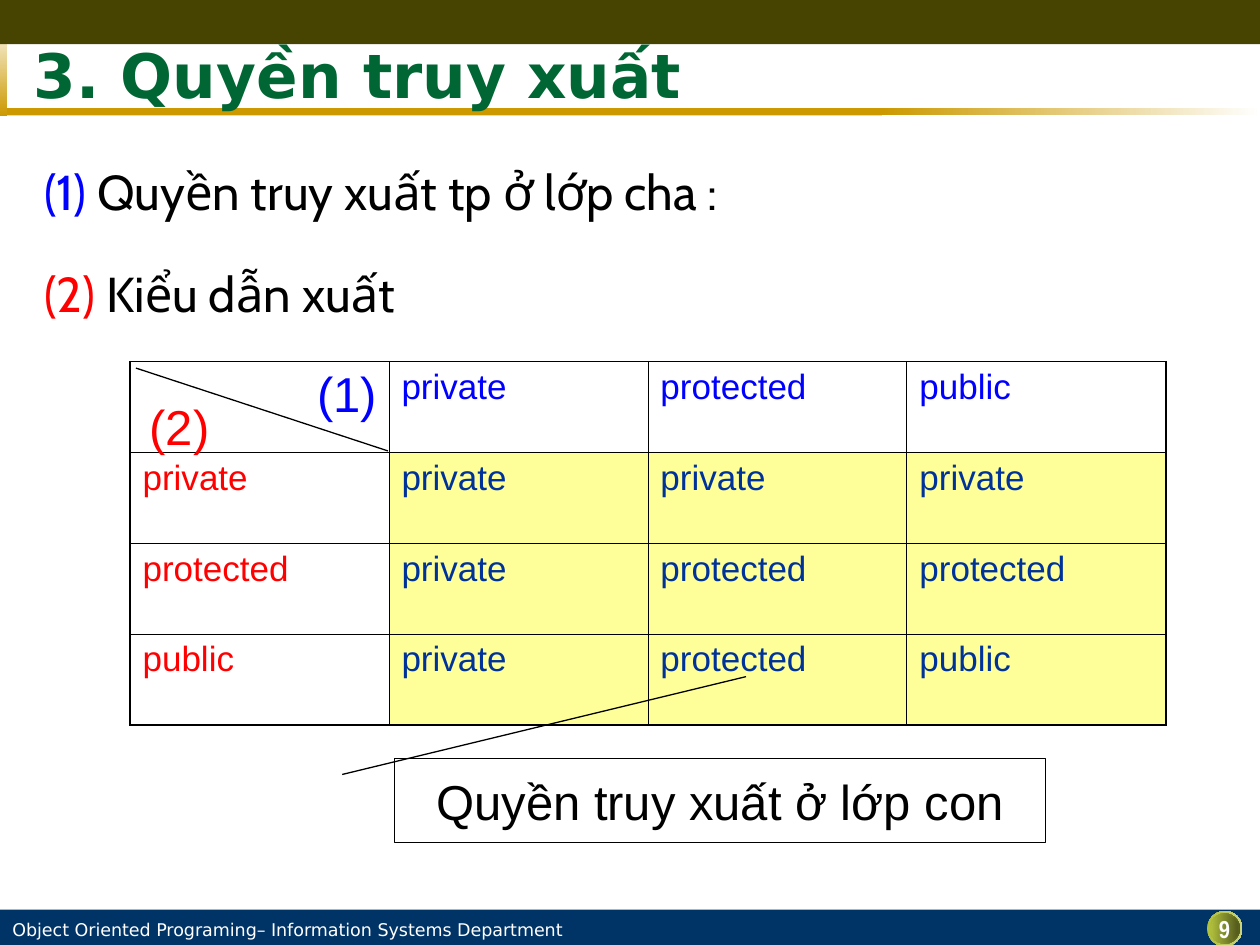
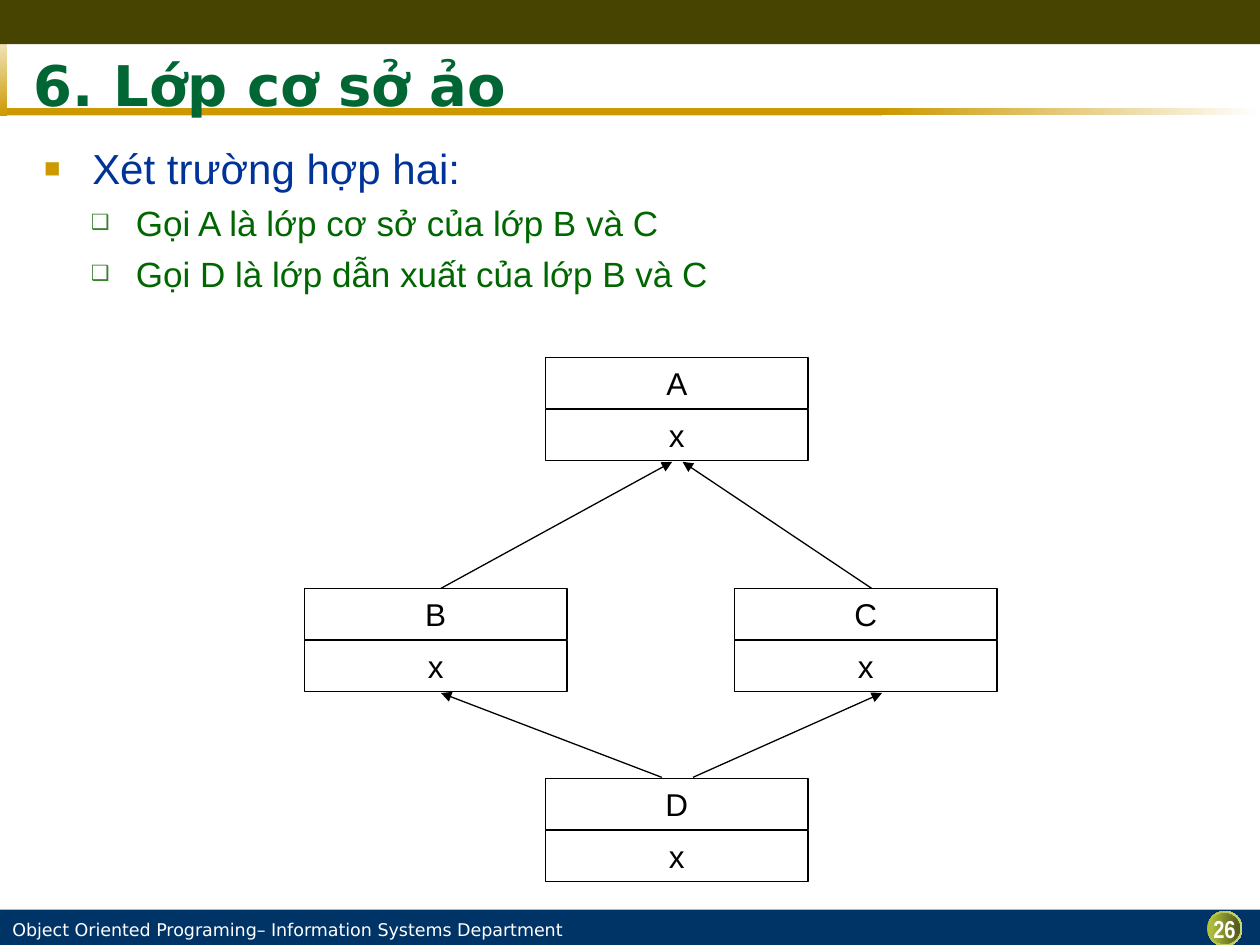
from dataclasses import dataclass
from typing import Any, Optional

from lxml import etree
from pptx import Presentation
from pptx import util as u
from pptx.dml.color import RGBColor
from pptx.enum import shapes, text
from pptx.oxml.ns import qn

BLACK, WHITE = "000000", "FFFFFF"
GOLD, OLIVE, NAVY, LIME = "CC9900", "464400", "003366", "AFBE3C"
TITLE_GREEN, DARK_GREEN, BULLET_GREEN = "006633", "006600", "3B812F"
BLUE, RED, INK_BLUE, YELLOW = "0000FF", "FF0000", "003399", "FFFF99"
FOOTER = "Object Oriented Programing– Information Systems Department"
ACCESS = ("private", "protected", "public")
SHAPE = shapes.MSO_SHAPE
CENTER, LEFT = text.PP_ALIGN.CENTER, text.PP_ALIGN.LEFT
MIDDLE, TOP = text.MSO_ANCHOR.MIDDLE, text.MSO_ANCHOR.TOP


@dataclass(frozen=True)
class Box:
    left: float
    top: float
    width: float
    height: float

    def lengths(self) -> tuple[u.Length, ...]:
        return tuple(u.Cm(value) for value in (self.left, self.top, self.width, self.height))


@dataclass(frozen=True)
class Style:
    size: float
    color: str = BLACK
    font: str = "Arial"
    bold: bool = False
    align: Any = LEFT
    before: float = 0


@dataclass(frozen=True)
class Band:
    box: Box
    color: str
    end: Optional[str] = None
    angle: int = 0
    kind: Any = SHAPE.RECTANGLE


@dataclass(frozen=True)
class Bullet:
    level: int
    char: str
    color: str
    percent: int
    margin: float
    hanging: float
    style: Style


@dataclass(frozen=True)
class ClassBox:
    name: str
    left: float
    top: float


@dataclass(frozen=True)
class Line:
    start: tuple[float, float]
    end: tuple[float, float]


def circle(diameter: float, end: str) -> Band:
    radius = diameter / 2
    return Band(Box(24.69 - radius, 18.72 - radius, diameter, diameter), LIME, end, 0, SHAPE.OVAL)


BANDS = (
    Band(Box(0, 2.18, 17.78, 0.15), GOLD),
    Band(Box(0, 0.33, 0.15, 2.01), WHITE, GOLD, 90),
    Band(Box(17.78, 2.18, 7.62, 0.15), GOLD, WHITE),
    Band(Box(0, 0, 25.4, 0.89), OLIVE),
    Band(Box(0, 18.34, 25.4, 0.71), NAVY),
    circle(0.71, WHITE),
    circle(0.71, "CAD47D"),
    circle(0.61, "5F6720"),
    circle(0.61, "555C1D"),
    circle(0.56, "51581C"),
)
FIRST_LEVEL = Bullet(0, "■", GOLD, 65, 0.97, 0.97, Style(24, INK_BLUE, before=6))
SECOND_LEVEL = Bullet(1, "❑", BULLET_GREEN, 60, 1.85, 0.91, Style(20, DARK_GREEN, before=5))
CLASS_BOXES = (
    ClassBox("A", 11, 7.21),
    ClassBox("B", 6.14, 11.86),
    ClassBox("C", 14.81, 11.86),
    ClassBox("D", 11, 15.69),
)
INHERITANCE = (
    Line((8.89, 11.86), (13.55, 9.31)),
    Line((17.57, 11.86), (13.76, 9.31)),
    Line((13.34, 15.67), (8.89, 13.97)),
    Line((13.97, 15.67), (17.78, 13.97)),
)


def rgb(color: str) -> RGBColor:
    return RGBColor.from_string(color)


def apply(target: Any, values: dict[str, Any]) -> None:
    for name, value in values.items():
        setattr(target, name, value)


def add_xml(parent: Any, tag: str, **attributes: Any) -> Any:
    return etree.SubElement(parent, qn(tag), {key: str(value) for key, value in attributes.items()})


def write_run(paragraph: Any, words: str, style: Style, color: Optional[str] = None) -> None:
    run = paragraph.add_run()
    run.text = words
    apply(run.font, {"size": u.Pt(style.size), "name": style.font, "bold": style.bold})
    run.font.color.rgb = rgb(color or style.color)


def format_paragraph(paragraph: Any, style: Style) -> None:
    apply(paragraph, {"alignment": style.align, "space_before": u.Pt(style.before), "line_spacing": 1.0})


def format_frame(frame: Any, anchor: Any = TOP, wrap: bool = True,
                 side: float = 0.25, edge: float = 0.13) -> None:
    apply(frame, {
        "auto_size": text.MSO_AUTO_SIZE.NONE, "word_wrap": wrap, "vertical_anchor": anchor,
        "margin_left": u.Cm(side), "margin_right": u.Cm(side),
        "margin_top": u.Cm(edge), "margin_bottom": u.Cm(edge),
    })


def write(frame: Any, words: str, style: Style) -> None:
    paragraph = frame.paragraphs[0]
    format_paragraph(paragraph, style)
    write_run(paragraph, words, style)


def add_text(slide: Any, box: Box, words: str, style: Style, **layout: Any) -> Any:
    frame = slide.shapes.add_textbox(*box.lengths()).text_frame
    format_frame(frame, **layout)
    write(frame, words, style)
    return frame


def add_band(slide: Any, band: Band) -> None:
    shape = slide.shapes.add_shape(band.kind, *band.box.lengths())
    shape.shadow.inherit = False
    shape.line.fill.background()
    if band.end is None:
        shape.fill.solid()
        shape.fill.fore_color.rgb = rgb(band.color)
        return
    shape.fill.gradient()
    shape.fill.gradient_angle = (360 - band.angle) % 360
    for stop, color, position in zip(shape.fill.gradient_stops, (band.color, band.end), (0, 1)):
        stop.color.rgb = rgb(color)
        stop.position = position


def add_outlined(slide: Any, kind: Any, box: Box, words: str, style: Style, anchor: Any = TOP) -> Any:
    shape = slide.shapes.add_shape(kind, *box.lengths())
    shape.shadow.inherit = False
    shape.fill.background()
    shape.line.color.rgb = rgb(BLACK)
    shape.line.width = u.Pt(0.75)
    format_frame(shape.text_frame, anchor)
    write(shape.text_frame, words, style)
    return shape


def add_line(slide: Any, line: Line, arrow: bool = False) -> None:
    points = [u.Cm(value) for value in line.start + line.end]
    connector = slide.shapes.add_connector(shapes.MSO_CONNECTOR.STRAIGHT, *points)
    connector.line.color.rgb = rgb(BLACK)
    connector.line.width = u.Pt(0.75)
    properties = connector.element.spPr
    if arrow:
        add_xml(properties.find(qn("a:ln")), "a:tailEnd", type="triangle")
    add_xml(properties, "a:effectLst")


def place(shape: Any, box: Box) -> None:
    apply(shape, dict(zip(("left", "top", "width", "height"), box.lengths())))
    shape.element.getparent().append(shape.element)


def start_slide(presentation: Any, layout: int, title: str, top: float, size: float, number: str) -> Any:
    slide = presentation.slides.add_slide(presentation.slide_layouts[layout])
    for band in BANDS:
        add_band(slide, band)
    add_text(slide, Box(0.2, 18.52, 13.08, 0.43), FOOTER,
             Style(10, WHITE, "DejaVu Sans", before=6.2), side=0.05, edge=0)
    add_text(slide, Box(24.05, 18.42, 1.27, 0.69), number,
             Style(14, WHITE, "Arial Narrow", True, CENTER, 8.8), side=0, edge=0)
    heading = slide.shapes.title
    place(heading, Box(0.43, top, 24.56, 1.7))
    format_frame(heading.text_frame, MIDDLE)
    write(heading.text_frame, title, Style(size, TITLE_GREEN, "DejaVu Sans", True))
    return slide


def add_bullet(paragraph: Any, words: str, bullet: Bullet) -> None:
    paragraph.level = bullet.level
    format_paragraph(paragraph, bullet.style)
    write_run(paragraph, words, bullet.style)
    properties = paragraph._p.get_or_add_pPr()
    properties.set("marL", str(u.Cm(bullet.margin)))
    properties.set("indent", str(-u.Cm(bullet.hanging)))
    add_xml(add_xml(properties, "a:buClr"), "a:srgbClr", val=bullet.color)
    add_xml(properties, "a:buSzPct", val=bullet.percent * 1000)
    add_xml(properties, "a:buFont", typeface="Arial")
    add_xml(properties, "a:buChar", char=bullet.char)


def add_borders(cell: Any, outer_sides: dict[str, bool]) -> None:
    properties = cell._tc.get_or_add_tcPr()
    for side, outer in outer_sides.items():
        border = add_xml(properties, f"a:ln{side}", w=u.Pt(1.08 if outer else 0.45))
        add_xml(add_xml(border, "a:solidFill"), "a:srgbClr", val=BLACK)


def result_access(derivation: str, member: str) -> str:
    return ACCESS[min(ACCESS.index(derivation), ACCESS.index(member))]


def add_access_table(slide: Any) -> None:
    rows = [("", *ACCESS)]
    rows += [(kind, *(result_access(kind, member) for member in ACCESS)) for kind in ACCESS]
    last = len(rows) - 1
    table = slide.shapes.add_table(4, 4, *Box(2.62, 7.29, 20.88, 7.32).lengths()).table
    apply(table, {"first_row": False, "horz_banding": False})
    for row, labels in enumerate(rows):
        table.rows[row].height = u.Cm(1.83)
        table.columns[row].width = u.Cm(5.22)
        for column, label in enumerate(labels):
            cell = table.cell(row, column)
            add_borders(cell, {"L": column == 0, "R": column == last, "T": row == 0, "B": row == last})
            if row and column:
                cell.fill.solid()
                cell.fill.fore_color.rgb = rgb(YELLOW)
            else:
                cell.fill.background()
            if label:
                color = BLUE if row == 0 else RED if column == 0 else INK_BLUE
                write(cell.text_frame, label, Style(20, color, before=5))


def build_access_slide(presentation: Any) -> None:
    slide = start_slide(presentation, 5, "3. Quyền truy xuất", 0.64, 35, "9")
    keys = (
        ("(1)", " Quyền truy xuất tp ở lớp cha :", BLUE, 3.12, Box(6.15, 7.19, 1.7, 1.45)),
        ("(2)", " Kiểu dẫn xuất", RED, 5.18, Box(2.77, 7.87, 1.7, 1.45)),
    )
    for mark, meaning, color, top, _ in keys:
        style = Style(28, color, "Cabin", before=17.5)
        frame = add_text(slide, Box(0.64, top, 22.86, 1.45), mark, style)
        write_run(frame.paragraphs[0], meaning, style, BLACK)
    add_access_table(slide)
    add_line(slide, Line((2.74, 7.42), (7.82, 9.09)))
    for mark, _, color, _, corner in keys:
        add_text(slide, corner, mark, Style(28, color, align=CENTER), wrap=False)
    callout = add_outlined(slide, SHAPE.LINE_CALLOUT_1, Box(7.95, 15.29, 13.13, 1.7),
                           "Quyền truy xuất ở lớp con", Style(28, align=CENTER), MIDDLE)
    for index, value in enumerate((0.19, -0.08, -0.97, 0.54)):
        callout.adjustments[index] = value


def build_virtual_base_slide(presentation: Any) -> None:
    slide = start_slide(presentation, 1, "6. Lớp cơ sở ảo", 0.85, 32, "26")
    body = slide.placeholders[1]
    place(body, Box(0.64, 2.74, 24.13, 15.04))
    format_frame(body.text_frame)
    items = (
        ("Xét trường hợp hai:", FIRST_LEVEL),
        ("Gọi A là lớp cơ sở của lớp B và C", SECOND_LEVEL),
        ("Gọi D là lớp dẫn xuất của lớp B và C", SECOND_LEVEL),
    )
    for index, (words, bullet) in enumerate(items):
        paragraph = body.text_frame.add_paragraph() if index else body.text_frame.paragraphs[0]
        add_bullet(paragraph, words, bullet)
    style = Style(18, align=CENTER, before=11.2)
    for item in CLASS_BOXES:
        for row, label in enumerate((item.name, "x")):
            box = Box(item.left, item.top + row * 1.05, 5.29, 1.03)
            add_outlined(slide, SHAPE.RECTANGLE, box, label, style)
    for line in INHERITANCE:
        add_line(slide, line, arrow=True)


def main() -> None:
    presentation = Presentation()
    apply(presentation, {"slide_width": u.Cm(25.4), "slide_height": u.Cm(19.05)})
    build_access_slide(presentation)
    build_virtual_base_slide(presentation)
    presentation.save("out.pptx")


if __name__ == "__main__":
    main()
